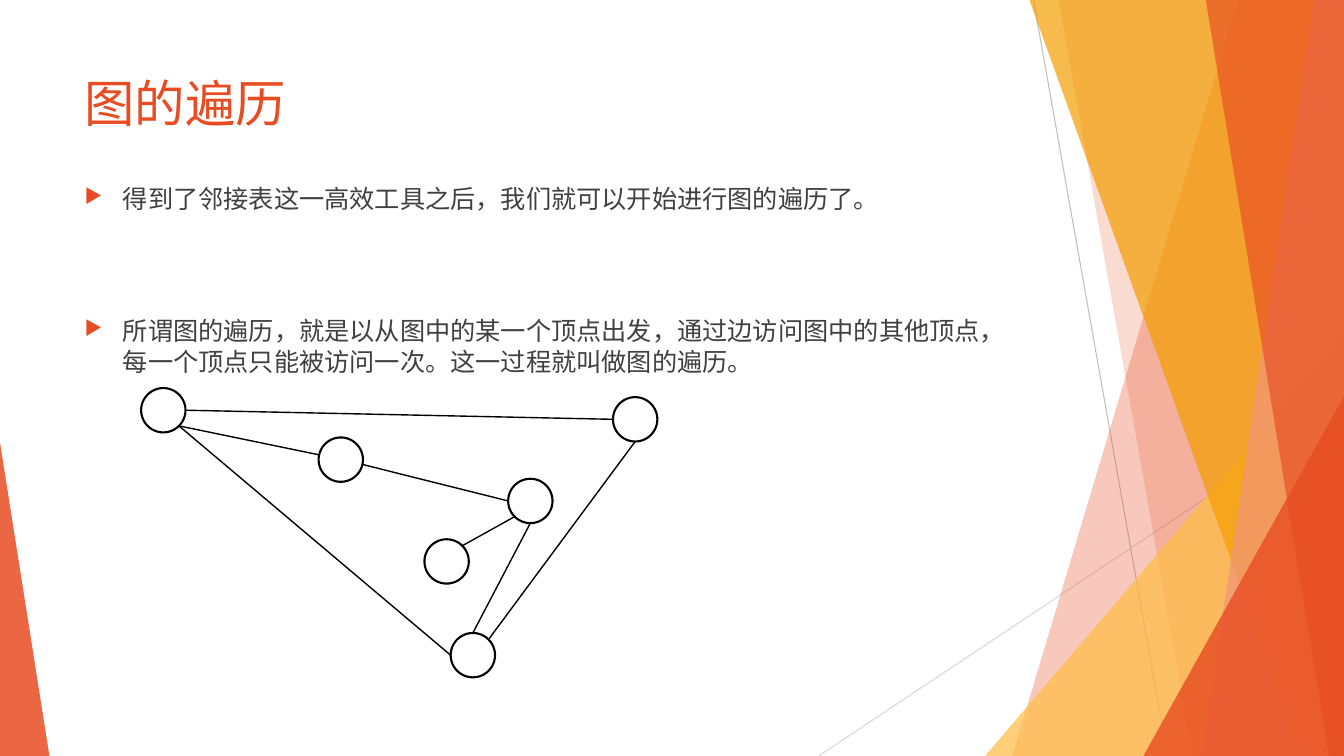
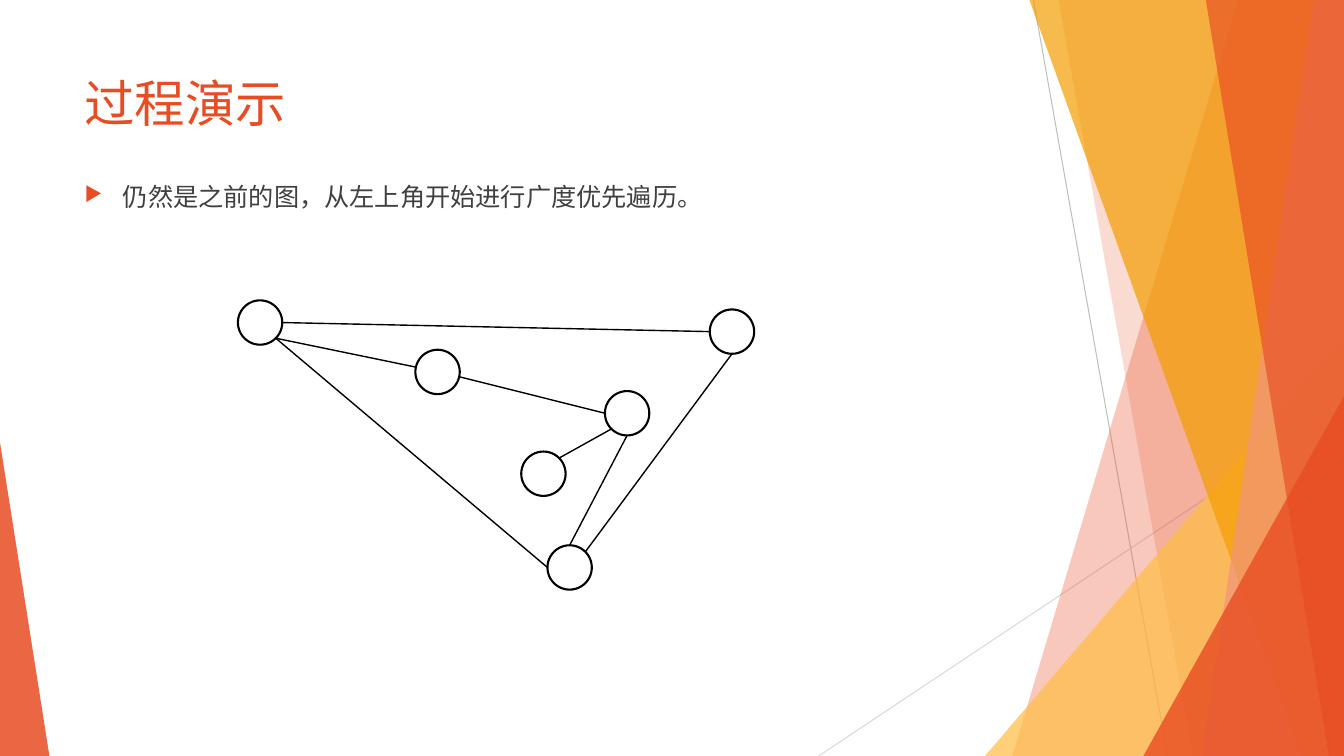
import math

from pptx import Presentation, util as u
from pptx.dml.color import RGBColor
from pptx.enum import shapes as kinds, text as txt
from pptx.oxml import ns, xmlchemy as xml

WIDTH, HEIGHT = 13.33, 7.5
FONT = "Calibri"
ORANGE, AMBER, GOLD, SALMON = "E84C22", "FFBD47", "F49D00", "F1947A"
INK, BLACK, WHITE = "404040", "000000", "FFFFFF"
MARGIN, TEXT_WIDTH = 0.74, 9.4
NODE = 0.44
LINE_GAP = 73

NODES = {
    "start": (0, 0, 0),
    "middle": (1.76, 0.49, 12.5),
    "right": (4.68, 0.09, 0),
    "hub": (3.64, 0.9, 0),
    "leaf": (2.81, 1.5, 0),
    "bottom": (3.07, 2.43, 0),
}
EDGES = [
    ("start", 0, "right", 180),
    ("right", 90, "bottom", -45),
    ("start", 45, "bottom", 180),
    ("hub", 90, "bottom", -90),
    ("hub", 180, "middle", 0),
    ("middle", 180, "start", 45),
    ("hub", 135, "leaf", -45),
]


def rgb(value):
    return RGBColor.from_string(value)


def add_child(parent, tag, **attributes):
    child = xml.OxmlElement(tag)
    for key, value in attributes.items():
        child.set(key, value)
    parent.append(child)
    return child


def paint(part, colour, opacity=100):
    part.shadow.inherit = False
    part.line.fill.background()
    part.fill.solid()
    part.fill.fore_color.rgb = rgb(colour)
    if opacity < 100:
        tint = part._element.spPr.find(ns.qn("a:solidFill"))[0]
        add_child(tint, "a:alpha", val=str(opacity * 1000))


def add_line(slide, start, end, colour, weight):
    ends = [u.Inches(value) for value in (*start, *end)]
    line = slide.shapes.add_connector(kinds.MSO_CONNECTOR.STRAIGHT, *ends)
    line.line.color.rgb = rgb(colour)
    line.line.width = u.Pt(weight)
    add_child(line._element.spPr, "a:effectLst")


def add_preset(slide, kind, left, top, width, height):
    box = [u.Inches(value) for value in (left, top, width, height)]
    return slide.shapes.add_shape(kind, *box)


def add_ribbon(slide, top_x, bottom_x, colour, opacity):
    outline = slide.shapes.build_freeform(u.Inches(top_x), 0)
    corners = [(WIDTH, 0), (WIDTH, HEIGHT), (bottom_x, HEIGHT)]
    outline.add_line_segments([(u.Inches(x), u.Inches(y)) for x, y in corners], close=True)
    paint(outline.convert_to_shape(), colour, opacity)


def add_wedge(slide, left, right, top, apex, colour, opacity):
    wedge = add_preset(slide, kinds.MSO_SHAPE.ISOSCELES_TRIANGLE,
                       left, top, right - left, HEIGHT - top)
    wedge.adjustments[0] = apex
    paint(wedge, colour, opacity)


def add_backdrop(slide):
    add_line(slide, (10.25, 0), (11.58, HEIGHT), "BFBFBF", 0.75)
    add_line(slide, (WIDTH, 4.03), (8.12, HEIGHT), "D9D9D9", 0.75)
    add_ribbon(slide, 12.28, 10.04, ORANGE, 30)
    add_ribbon(slide, 10.5, 11.83, ORANGE, 20)
    add_wedge(slide, 9.77, WIDTH, 3.33, 1, AMBER, 72)
    add_ribbon(slide, 10.21, 12.91, GOLD, 70)
    add_ribbon(slide, 13.03, 11.92, SALMON, 70)
    add_ribbon(slide, 11.96, 13.18, ORANGE, 65)
    add_wedge(slide, 11.34, WIDTH, 3.93, 1, ORANGE, 80)
    add_wedge(slide, 0, 0.49, 4.39, 0, ORANGE, 85)


def add_frame(slide, top, height):
    box = [u.Inches(value) for value in (MARGIN, top, TEXT_WIDTH, height)]
    frame = slide.shapes.add_textbox(*box).text_frame
    frame.word_wrap = True
    frame.vertical_anchor = txt.MSO_ANCHOR.TOP
    return frame


def add_run(paragraph, words, size, colour):
    run = paragraph.add_run()
    run.text = words
    run.font.size = u.Pt(size)
    run.font.color.rgb = rgb(colour)
    run.font.name = FONT
    add_child(run._r.get_or_add_rPr(), "a:ea", typeface=FONT)


def add_title(slide, words):
    add_run(add_frame(slide, 0.67, 0.81).paragraphs[0], words, 36, ORANGE)


def add_bullets(slide, top, points):
    frame = add_frame(slide, top, 6.61 - top)
    for index, words in enumerate(points):
        paragraph = frame.add_paragraph() if index else frame.paragraphs[0]
        props = paragraph._p.get_or_add_pPr()
        props.set("marL", str(u.Inches(0.38)))
        props.set("indent", str(-u.Inches(0.38)))
        add_child(add_child(props, "a:buClr"), "a:srgbClr", val=ORANGE)
        add_child(props, "a:buSzPct", val="80000")
        add_child(props, "a:buChar", char="▶")
        if index:
            paragraph.space_before = u.Pt(LINE_GAP)
        add_run(paragraph, words, 18, INK)


def rim_point(left, top, name, angle):
    x, y, turn = NODES[name]
    radius, theta = NODE / 2, math.radians(angle + turn)
    return (left + x + radius * (1 + math.cos(theta)),
            top + y + radius * (1 + math.sin(theta)))


def add_graph(slide, left, top):
    for x, y, turn in NODES.values():
        node = add_preset(slide, kinds.MSO_SHAPE.OVAL, left + x, top + y, NODE, NODE)
        node.rotation = turn
        paint(node, WHITE)
        node.line.color.rgb = rgb(BLACK)
        node.line.width = u.Pt(1.5)
    for source, leaving, target, arriving in EDGES:
        add_line(slide, rim_point(left, top, source, leaving),
                 rim_point(left, top, target, arriving), BLACK, 1)


def add_graph_slide(deck, title, points, body_top, graph_left, graph_top):
    slide = deck.slides.add_slide(deck.slide_layouts[6])
    add_backdrop(slide)
    add_title(slide, title)
    add_bullets(slide, body_top, points)
    add_graph(slide, graph_left, graph_top)


def main():
    deck = Presentation()
    deck.slide_width, deck.slide_height = u.Inches(WIDTH), u.Inches(HEIGHT)
    add_graph_slide(deck, "图的遍历", [
        "得到了邻接表这一高效工具之后，我们就可以开始进行图的遍历了。",
        "所谓图的遍历，就是以从图中的某一个顶点出发，通过边访问图中的其他顶点，"
        "每一个顶点只能被访问一次。这一过程就叫做图的遍历。",
    ], 1.77, 1.4, 3.85)
    add_graph_slide(deck, "过程演示", [
        "仍然是之前的图，从左上角开始进行广度优先遍历。",
    ], 1.75, 2.36, 2.98)
    deck.save("out.pptx")


if __name__ == "__main__":
    main()
